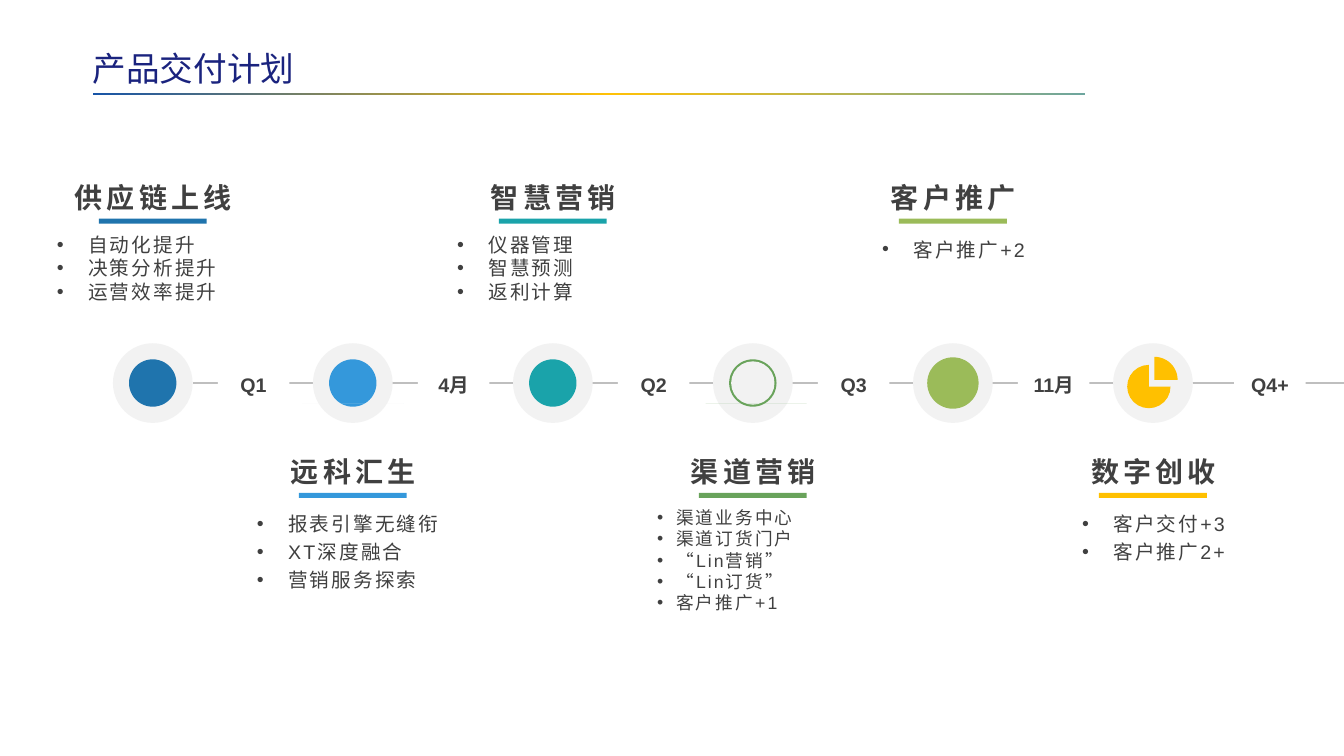
from lxml.etree import SubElement
from pptx import Presentation
from pptx.dml.color import RGBColor
from pptx.enum.shapes import MSO_CONNECTOR as Connector, MSO_SHAPE as Shape
from pptx.enum.text import MSO_ANCHOR as Anchor, MSO_AUTO_SIZE as AutoSize, PP_ALIGN as Align
from pptx.oxml import parse_xml
from pptx.oxml.ns import nsdecls, qn
from pptx.util import Inches, Pt

FIRST_CENTER, STEP, AXIS = 1.515, 1.984, 3.8
LOWER_SHIFT = 2.72
GREY, PALE = "404040", "F2F2F2"

MILESTONES = [
    ("供应链上线", "1F74AD", ["自动化提升", "决策分析提升", "运营效率提升"], {}),
    ("远科汇生", "3498DB", ["报表引擎无缝衔", "XT深度融合", "营销服务探索"],
     dict(width=2.25, height=0.97, spacing=1.2)),
    ("智慧营销", "1AA3AA", ["仪器管理", "智慧预测", "返利计算"], {}),
    ("渠道营销", "69A35B",
     ["渠道业务中心", "渠道订货门户", "“Lin营销”", "“Lin订货”", "客户推广+1"],
     dict(width=2.25, height=1.21, size=12.6, indent=0.19)),
    ("客户推广", "9BBB59", ["客户推广+2"], dict(spacing=1.2, align=Align.CENTER)),
    ("数字创收", "FFC000", ["客户交付+3", "客户推广2+"],
     dict(spacing=1.2, align=Align.CENTER)),
]
PERIODS = ["Q1", "4月", "Q2", "Q3", "11月", "Q4+"]

OCEAN = [(3.52, 3.98), (3.52, 3.97), (3.51, 3.93), (3.47, 3.93), (3.46, 3.97),
         (3.47, 3.98), (3.39, 3.95), (3.33, 3.88), (3.35, 3.87), (3.43, 3.84),
         (3.43, 3.8), (3.38, 3.75), (3.32, 3.74), (3.36, 3.67), (3.43, 3.62),
         (3.47, 3.67), (3.5, 3.72), (3.53, 3.75), (3.56, 3.74), (3.62, 3.69),
         (3.64, 3.67), (3.68, 3.73), (3.69, 3.8), (3.67, 3.88), (3.61, 3.95)]
CONTINENT = [(3.63, 3.78), (3.58, 3.77), (3.53, 3.76), (3.5, 3.79), (3.5, 3.82),
             (3.51, 3.84), (3.53, 3.87), (3.54, 3.93), (3.57, 3.95), (3.6, 3.92),
             (3.64, 3.86), (3.66, 3.8)]
PERSON = [(7.33, 3.96), (7.33, 3.95), (7.39, 3.93), (7.41, 3.89), (7.39, 3.84),
          (7.37, 3.79), (7.38, 3.77), (7.38, 3.73), (7.41, 3.66), (7.47, 3.64),
          (7.52, 3.65), (7.55, 3.7), (7.55, 3.77), (7.56, 3.79), (7.55, 3.84),
          (7.52, 3.89), (7.55, 3.94), (7.6, 3.95), (7.61, 3.96), (7.55, 4.01),
          (7.47, 4.03), (7.38, 4.01)]


def color(value):
    return RGBColor.from_string(value)


class Roadmap:
    font = "Arial"

    def __init__(self, presentation):
        self.slide = presentation.slides.add_slide(presentation.slide_layouts[4])
        self.shapes = self.slide.shapes
        self.bodies = list(self.slide.placeholders)[1:]

    def place(self, item, left, top, width, height):
        item.left, item.top = Inches(left), Inches(top)
        item.width, item.height = Inches(width), Inches(height)

    def frame(self, item, anchor, margins):
        frame = item.text_frame
        frame.word_wrap, frame.auto_size = True, AutoSize.NONE
        frame.vertical_anchor = anchor
        (frame.margin_left, frame.margin_top,
         frame.margin_right, frame.margin_bottom) = map(Inches, margins)
        return frame

    def typeset(self, paragraph, text, size, ink=GREY, bold=False, align=Align.LEFT,
                spacing=1.0, tracking=0, font=None):
        paragraph.text = text
        paragraph.alignment, paragraph.line_spacing = align, spacing
        paragraph.space_before = Pt(0)
        style = paragraph.font
        style.name, style.size, style.bold = font or self.font, Pt(size), bold
        style.color.rgb = color(ink)
        if tracking:
            paragraph._p.pPr.find(qn("a:defRPr")).set("spc", str(int(tracking * 100)))

    def title(self, text):
        title = self.shapes.title
        self.place(title, 0.92, 0.39, 9.61, 0.53)
        frame = self.frame(title, Anchor.BOTTOM, (0, 0.04, 0.07, 0.04))
        self.typeset(frame.paragraphs[0], text, 24, "1A237E", font="Montserrat")

    def heading(self, text, left, top):
        box = self.shapes.add_textbox(*map(Inches, (left, top, 2.11, 0.47)))
        frame = self.frame(box, Anchor.MIDDLE, (0.1, 0.05, 0.1, 0))
        self.typeset(frame.paragraphs[0], text, 20, bold=True, align=Align.CENTER,
                     spacing=1.2, tracking=3)

    def bullets(self, lines, left, top, width=2.11, height=0.86, size=14, indent=0.31,
                spacing=1.0, align=Align.LEFT):
        body = self.bodies.pop(0) if self.bodies else self.shapes.add_textbox(0, 0, 0, 0)
        self.place(body, left, top, width, height)
        frame = self.frame(body, Anchor.TOP, (0.1, 0.05, 0.1, 0.05))
        for index, line in enumerate(lines):
            paragraph = frame.add_paragraph() if index else frame.paragraphs[0]
            properties = paragraph._p.get_or_add_pPr()
            properties.set("marL", str(Inches(indent)))
            properties.set("indent", str(-Inches(indent)))
            SubElement(properties, qn("a:buFont")).set("typeface", self.font)
            SubElement(properties, qn("a:buChar")).set("char", "•")
            self.typeset(paragraph, line, size, align=align, spacing=spacing, tracking=1.5)

    def paint(self, shape, fill):
        shape.shadow.inherit = False
        shape.fill.solid()
        shape.fill.fore_color.rgb = color(fill)
        shape.line.fill.background()
        return shape

    def block(self, kind, fill, left, top, width, height):
        shape = self.shapes.add_shape(kind, *map(Inches, (left, top, width, height)))
        return self.paint(shape, fill)

    def disc(self, fill, center, diameter):
        self.block(Shape.OVAL, fill, center - diameter / 2, AXIS - diameter / 2,
                   diameter, diameter)

    def outline(self, fill, points):
        builder = self.shapes.build_freeform(*points[0], scale=Inches(1))
        builder.add_line_segments(points[1:], close=True)
        self.paint(builder.convert_to_shape(), fill)

    def title_rule(self):
        rule = self.block(Shape.RECTANGLE, "1754A7", 0.92, 0.92, 9.84, 0.02)
        stops = "".join(
            f'<a:gs pos="{place}000"><a:srgbClr val="{tone}"/></a:gs>'
            for place, tone in ((0, "1754A7"), (52, "FFC107"), (100, "6EA69E")))
        gradient = parse_xml(f'<a:gradFill {nsdecls("a")}><a:gsLst>{stops}</a:gsLst>'
                             '<a:lin ang="0" scaled="0"/></a:gradFill>')
        properties = rule._element.spPr
        properties.replace(properties.find(qn("a:solidFill")), gradient)

    def axis(self):
        line = self.shapes.add_connector(
            Connector.STRAIGHT, *map(Inches, (13.33, AXIS, 1.91, AXIS)))
        line.line.color.rgb, line.line.width = color("BFBFBF"), Pt(1.5)
        SubElement(line._element.spPr, qn("a:effectLst"))

    def period(self, text, left, top):
        label = self.block(Shape.RECTANGLE, "FFFFFF", left, top, 0.71, 0.49)
        frame = self.frame(label, Anchor.MIDDLE, (0.1, 0.05, 0.1, 0.05))
        frame.word_wrap = False
        self.typeset(frame.paragraphs[0], text, 14, bold=True, align=Align.CENTER,
                     spacing=1.2)

    def icon(self, name, fill, center):
        if name == "数字创收":
            self.block(Shape.PIE, fill, 11.18, 3.62, 0.43, 0.43)
            self.block(Shape.PIE_WEDGE, fill, 11.45, 3.54, 0.23, 0.23).rotation = 90
            return
        self.disc(fill, center, 0.51 if name == "客户推广" else 0.47)
        if name == "远科汇生":
            self.outline(PALE, OCEAN)
            self.outline(fill, CONTINENT)
        elif name == "渠道营销":
            self.disc(PALE, center, 0.43)
            self.outline(fill, PERSON)


def main():
    presentation = Presentation()
    presentation.slide_width, presentation.slide_height = Inches(13.33), Inches(7.5)
    roadmap = Roadmap(presentation)
    roadmap.title_rule()
    roadmap.title("产品交付计划")
    roadmap.axis()
    for index, (name, fill, lines, layout) in enumerate(MILESTONES):
        center = FIRST_CENTER + STEP * index
        shift = LOWER_SHIFT * (index % 2)
        left = center - 1.05
        roadmap.heading(name, left, 1.66 + shift)
        roadmap.block(Shape.RECTANGLE, fill, center - 0.535, 2.17 + shift, 1.07, 0.05)
        roadmap.bullets(lines, left, 2.26 + shift, **layout)
        roadmap.disc(PALE, center, 0.79)
        roadmap.icon(name, fill, center)
    for index, text in enumerate(PERIODS):
        nudge = 0.16 if text == "Q4+" else 0
        roadmap.period(text, 2.16 + STEP * index + nudge, 3.55)
    presentation.save("out.pptx")


if __name__ == "__main__":
    main()
